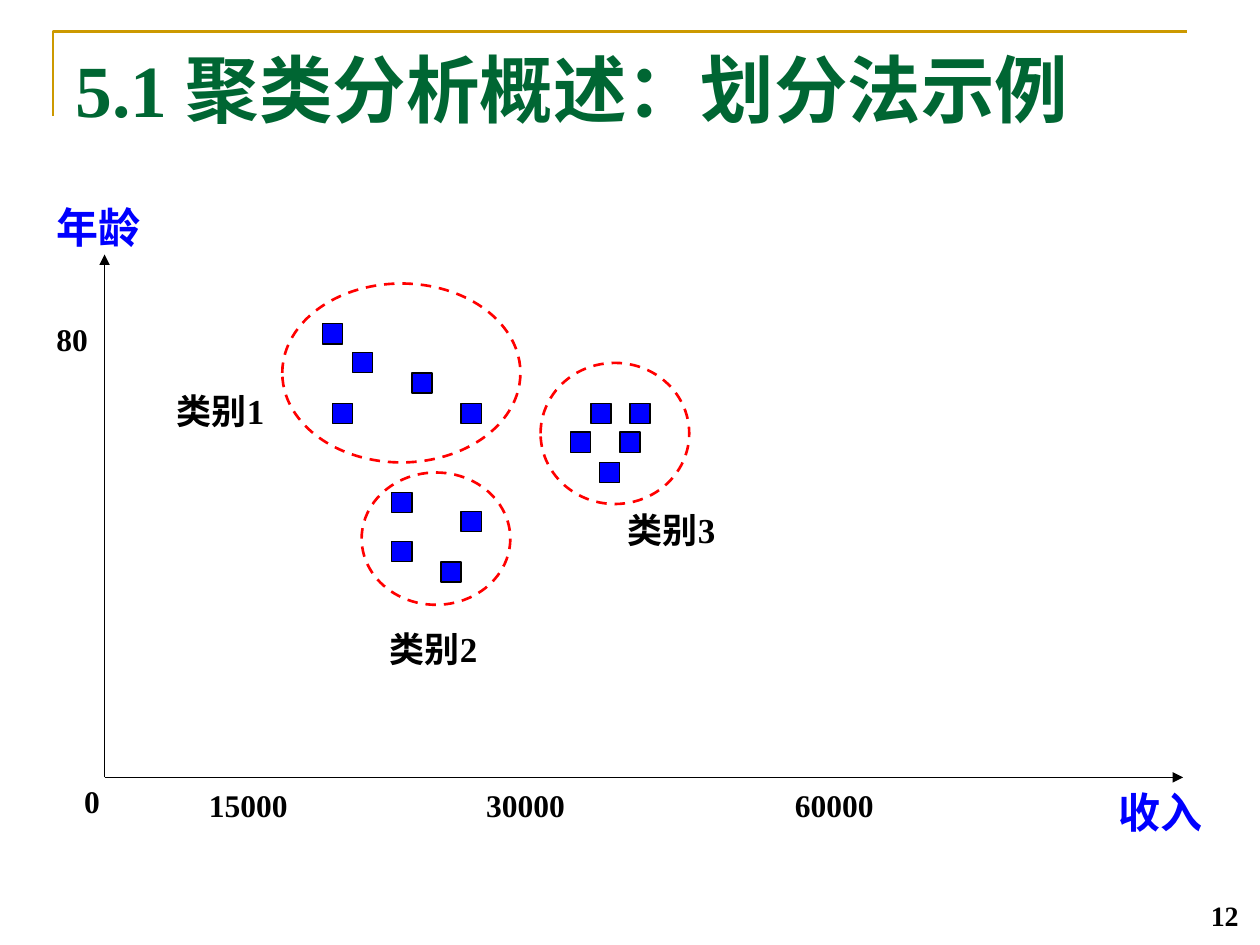
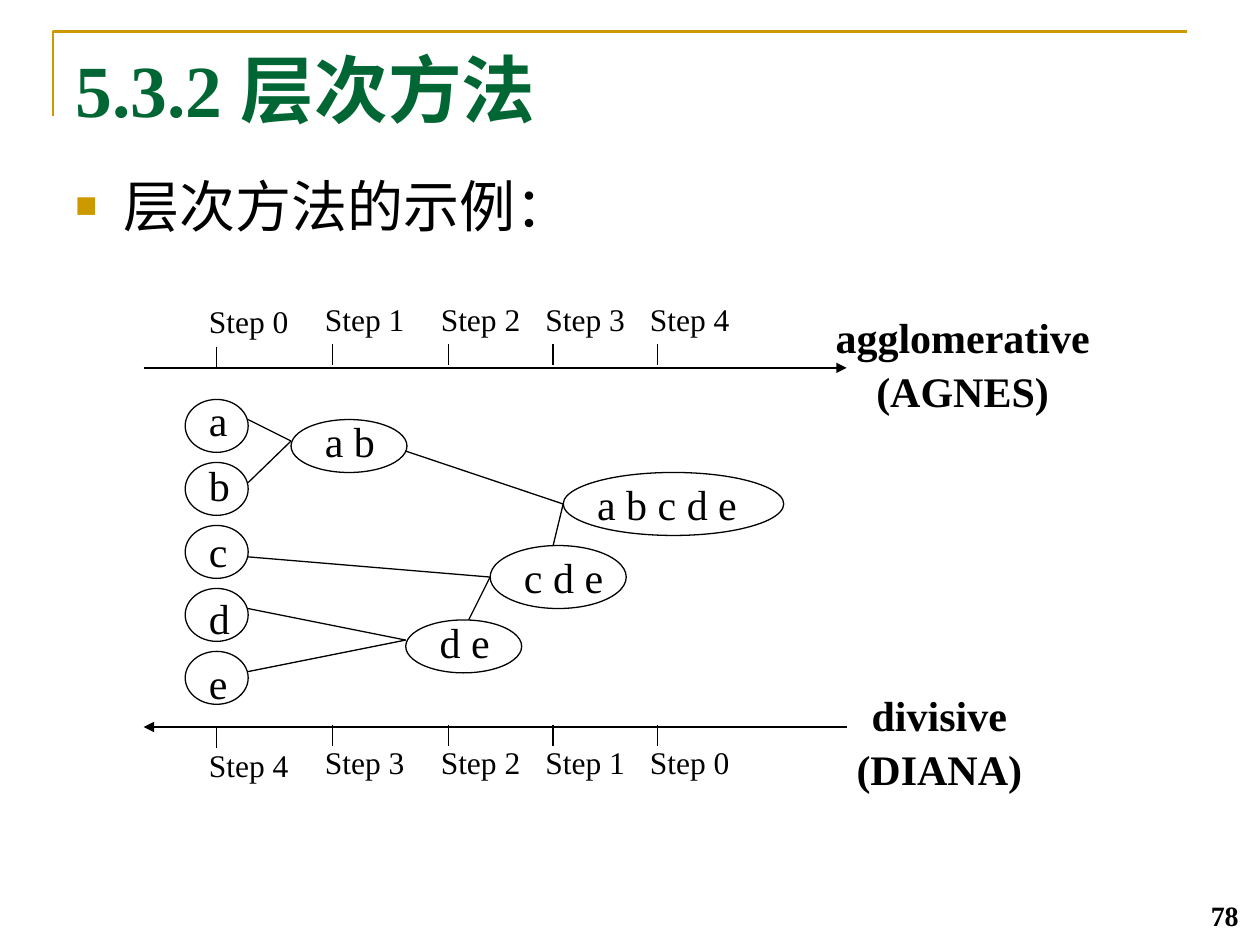
from dataclasses import dataclass

import pptx
import pptx.dml.color
import pptx.enum.dml
import pptx.enum.lang
import pptx.enum.shapes
import pptx.enum.text
import pptx.oxml
import pptx.oxml.ns
import pptx.util

PX = 9144  # EMU in one px, 100 px to the inch
SHAPE = pptx.enum.shapes.MSO_SHAPE
ALIGN = pptx.enum.text.PP_ALIGN
ANCHOR = pptx.enum.text.MSO_ANCHOR


@dataclass(frozen=True)
class Theme:
    serif: str = "Times New Roman"
    sans: str = "Arial"
    ink: str = "000000"
    paper: str = "FFFFFF"
    gold: str = "CC9900"
    green: str = "006633"
    blue: str = "0000FF"
    red: str = "FF0000"
    title: int = 42
    body: int = 32
    large: int = 24
    label: int = 20
    small: int = 18
    page: int = 16
    thin: float = 0.75
    thick: float = 1.5
    lang: object = pptx.enum.lang.MSO_LANGUAGE_ID.SIMPLIFIED_CHINESE


def put(item, **values):
    for name, value in values.items():
        setattr(item, name, value)


def rgb(tone):
    return pptx.dml.color.RGBColor.from_string(tone)


def scale(*sizes):
    return [pptx.util.Emu(size * PX) for size in sizes]


def node(tag, **attrs):
    item = pptx.oxml.parse_xml(f"<a:{tag} {pptx.oxml.ns.nsdecls('a')}/>")
    for name, value in attrs.items():
        item.set(name, value)
    return item


class Deck:
    def __init__(self, theme):
        self.theme = theme
        self.file = pptx.Presentation()
        width, height = scale(1000, 750)
        put(self.file, slide_width=width, slide_height=height)
        self.slide = None

    def page(self, title, number):
        """Start a slide with the shared frame, page number and title."""
        look = self.theme
        self.slide = self.file.slides.add_slide(self.file.slide_layouts[5])
        pen = self.slide.shapes.build_freeform(42, 92, scale=PX)
        pen.add_line_segments([(42, 25), (942, 25)], close=False)
        frame = pen.convert_to_shape()
        frame.shadow.inherit = False
        frame.fill.background()
        self.stroke(frame, look.gold, look.thick)
        self.text(number, 760, 695, 233, 50, look.page, bold=True,
                  align=ALIGN.RIGHT, anchor=ANCHOR.BOTTOM)
        head = self.slide.shapes.title
        left, top, width, height = scale(50, 30, 900, 93)
        put(head, left=left, top=top, width=width, height=height)
        self.letter(head, title, look.title, look.green, bold=True)

    def stroke(self, item, tone, width, dash=None):
        item.line.color.rgb = rgb(tone)
        put(item.line, width=pptx.util.Pt(width), dash_style=dash)

    def letter(self, box, words, size, tone=None, bold=False, font=None,
               align=ALIGN.LEFT, anchor=ANCHOR.TOP, gap=0):
        look = self.theme
        frame = box.text_frame
        put(frame, text=words, word_wrap=True, vertical_anchor=anchor,
            auto_size=pptx.enum.text.MSO_AUTO_SIZE.NONE)
        for index, para in enumerate(frame.paragraphs):
            put(para, alignment=align,
                space_before=pptx.util.Pt(gap if index else 0))
            face = para.runs[0].font
            put(face, name=font or look.serif, size=pptx.util.Pt(size),
                bold=bold, language_id=look.lang)
            face.color.rgb = rgb(tone or look.ink)

    def text(self, words, left, top, width, height, size, fill=None, **style):
        box = self.slide.shapes.add_textbox(*scale(left, top, width, height))
        if fill:
            box.fill.solid()
            box.fill.fore_color.rgb = rgb(fill)
        self.letter(box, words, size, **style)
        return box

    def bullet(self, words, left, top, width, height):
        look = self.theme
        box = self.text(words, left, top, width, height, look.body,
                        font=look.sans)
        props = box.text_frame.paragraphs[0]._p.get_or_add_pPr()
        indent = 38 * PX
        props.set("marL", str(indent))
        props.set("indent", str(-indent))
        tint = node("buClr")
        tint.append(node("srgbClr", val=look.gold))
        for part in (tint, node("buSzPct", val="65000"),
                     node("buFont", typeface=look.sans),
                     node("buChar", char="■")):
            props.append(part)

    def shape(self, kind, left, top, width, height, tone=None, fill=None,
              weight=None, dash=None):
        item = self.slide.shapes.add_shape(
            kind, *scale(left, top, width, height))
        item.shadow.inherit = False
        if fill:
            item.fill.solid()
            item.fill.fore_color.rgb = rgb(fill)
        else:
            item.fill.background()
        self.stroke(item, tone or self.theme.ink,
                    weight or self.theme.thin, dash)

    def line(self, start, end, weight=None, arrow=False):
        item = self.slide.shapes.add_connector(
            pptx.enum.shapes.MSO_CONNECTOR.STRAIGHT, *scale(*start, *end))
        self.stroke(item, self.theme.ink, weight or self.theme.thin)
        if arrow:
            item.line._get_or_add_ln().append(node("tailEnd", type="triangle"))
        item._element.spPr.append(node("effectLst"))


def plot(deck):
    look = deck.theme
    deck.page("5.1 聚类分析概述：划分法示例", "12")

    # Axes and their labels
    origin = (83, 617)
    deck.line(origin, (939, 617), arrow=True)
    deck.line(origin, (83, 202), arrow=True)
    for name, left, top in (("年龄", 35, 155), ("收入", 878, 619)):
        deck.text(name, left, top, 98, 52, look.large, tone=look.blue,
                  bold=True)
    for value, left, top, width, fill in (
            ("80", 35, 249, 73, None), ("0", 57, 616, 49, None),
            ("15000", 156, 619, 147, look.paper),
            ("30000", 376, 619, 122, look.paper),
            ("60000", 621, 619, 122, look.paper)):
        deck.text(value, left, top, width, 52, look.small, fill=fill,
                  bold=True)

    # Clusters: label place, ring, points
    groups = (
        ("类别1", (126, 304), (224, 225, 189, 142),
         ((256, 257), (280, 280), (264, 320), (327, 296), (366, 320))),
        ("类别2", (295, 493), (287, 375, 118, 105),
         ((311, 391), (366, 406), (311, 430), (350, 446))),
        ("类别3", (484, 399), (429, 288, 118, 112),
         ((453, 343), (469, 320), (492, 343), (476, 367), (500, 320))),
    )
    for name, place, ring, points in groups:
        deck.text(name, *place, 98, 52, look.label, bold=True,
                  align=ALIGN.CENTER)
        for point in points:
            deck.shape(SHAPE.RECTANGLE, *point, 16, 16, fill=look.blue)
        deck.shape(SHAPE.OVAL, *ring, tone=look.red, weight=look.thick,
                   dash=pptx.enum.dml.MSO_LINE.DASH)


def tree(deck):
    look = deck.theme
    deck.page("5.3.2 层次方法", "78")
    deck.bullet("层次方法的示例：", 50, 131, 900, 551)

    # Step scales, one for each direction
    ticks = (172, 264, 356, 439, 522)
    for start, end, tick, label, steps in (
            ((114, 292), (672, 292), 273, 233, range(5)),
            ((672, 577), (114, 577), 575, 585, range(4, -1, -1))):
        deck.line(start, end, look.thick, arrow=True)
        for index, (left, step) in enumerate(zip(ticks, steps)):
            drop = 0 if index else 2
            deck.line((left, tick + drop), (left, tick + drop + 17))
            deck.text(f"Step {step}", left - 16, label + drop, 93, 40,
                      look.small)

    # Single items
    for index, name in enumerate("abcde"):
        deck.shape(SHAPE.OVAL, 147, 317 + 50 * index, 50, 42)
        deck.text(name, 156, round(308 + 52.25 * index), 50, 50, look.large)

    # Merged sets, each text box ending at the foot of its oval
    for name, left, top, width, height in (
            ("a b", 231, 333, 92, 42), ("d e", 322, 492, 92, 42),
            ("c d e", 389, 433, 108, 50), ("a b c d e", 447, 375, 175, 50)):
        deck.shape(SHAPE.OVAL, left, top, width, height)
        deck.text(name, left + 17, top + height - 50, width, 50, look.large)

    # Branches, listed by the point where they meet
    for end, starts in (
            ((231, 350), ((197, 333), (197, 383))),
            ((322, 508), ((197, 483), (197, 533))),
            ((389, 458), ((197, 442), (372, 492))),
            ((447, 400), ((322, 358), (439, 433)))):
        for start in starts:
            deck.line(start, end)

    # Method names
    for words, left, top, width in (
            ("agglomerative\n(AGNES)", 643, 242, 242),
            ("divisive\n(DIANA)", 660, 542, 171)):
        deck.text(words, left, top, width, 90, look.large, bold=True,
                  align=ALIGN.CENTER, gap=2)


def main():
    deck = Deck(Theme())
    plot(deck)
    tree(deck)
    deck.file.save("out.pptx")


if __name__ == "__main__":
    main()
